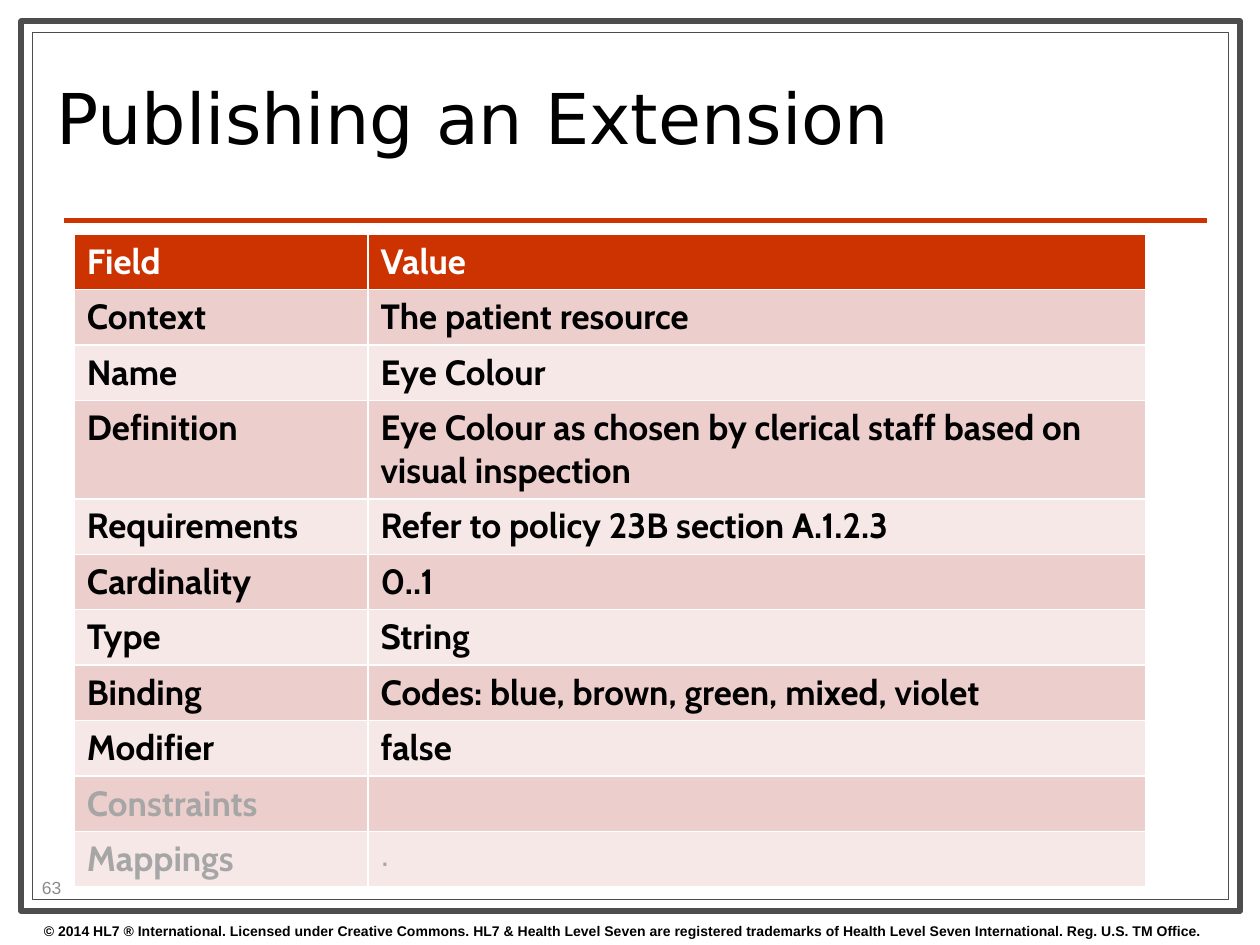
import pptx
import pptx.util
import pptx.dml.color
import pptx.enum.shapes
import pptx.enum.text
import pptx.oxml.xmlchemy

Inches, Pt = pptx.util.Inches, pptx.util.Pt
SHAPE = pptx.enum.shapes.MSO_SHAPE
ALIGN = pptx.enum.text.PP_ALIGN
ANCHOR = pptx.enum.text.MSO_ANCHOR
new_element = pptx.oxml.xmlchemy.OxmlElement

COLORS = {
    "white": "FFFFFF", "black": "000000", "frame": "4D4D4D", "accent": "CC3300",
    "band_dark": "ECCECC", "band_light": "F6E8E7", "muted": "A6A6A6", "number": "8C8C8C",
}
TITLE = {"name": "DejaVu Sans", "size": Pt(40), "bold": False}
CELL = {"name": "Cabin", "size": Pt(20), "bold": True}
DOT = {"name": "Arial", "size": Pt(18), "bold": False}
LEGAL = {"name": "Arial", "size": Pt(8), "bold": True}
NUMBER = {"name": "Arial", "size": Pt(10), "bold": False}

ROWS = [
    ("Field", "Value"),
    ("Context", "The patient resource"),
    ("Name", "Eye Colour"),
    ("Definition", "Eye Colour as chosen by clerical staff based on visual inspection"),
    ("Requirements", "Refer to policy 23B section A.1.2.3"),
    ("Cardinality", "0..1"),
    ("Type", "String"),
    ("Binding", "Codes: blue, brown, green, mixed, violet"),
    ("Modifier", "false"),
    ("Constraints", ""),
    ("Mappings", "."),
]
MUTED_FIELDS = ("Constraints", "Mappings")


def rgb(key):
    return pptx.dml.color.RGBColor.from_string(COLORS[key])


def write(tf, text, font, color):
    p = tf.paragraphs[0]
    r = p.add_run()
    r.text = text
    for name, value in font.items():
        setattr(r.font, name, value)
    r.font.color.rgb = rgb(color)
    return p


def add_frame(s, x, y, w, h):
    """Double border: a heavy outer rectangle and a fine inner one."""
    for inset, weight in ((0, 3.5), (0.09, 0.75)):
        sp = s.shapes.add_shape(SHAPE.RECTANGLE, Inches(x + inset), Inches(y + inset),
                                Inches(w - 2 * inset), Inches(h - 2 * inset))
        sp.shadow.inherit = False
        sp.fill.solid()
        sp.fill.fore_color.rgb = rgb("white")
        sp.line.color.rgb = rgb("frame")
        sp.line.width = Pt(weight)


def add_rule(s, x, y, w):
    line = s.shapes.add_connector(pptx.enum.shapes.MSO_CONNECTOR.STRAIGHT,
                                  Inches(x), Inches(y), Inches(x + w), Inches(y))
    line.line.color.rgb = rgb("accent")
    line.line.width = Pt(3)
    line._element.spPr.append(new_element("a:effectLst"))


def add_title(s, x, y, w, h, text):
    sp = s.shapes.title
    sp.left, sp.top, sp.width, sp.height = map(Inches, (x, y, w, h))
    tf = sp.text_frame
    tf.vertical_anchor = ANCHOR.MIDDLE
    tf.auto_size = pptx.enum.text.MSO_AUTO_SIZE.NONE
    p = write(tf, text, TITLE, "black")
    p.alignment = ALIGN.LEFT
    p.line_spacing = 0.8


def add_legal_line(s, x, y, w, h, text):
    tf = s.shapes.add_textbox(Inches(x), Inches(y), Inches(w), Inches(h)).text_frame
    tf.word_wrap = True
    write(tf, text, LEGAL, "black")


def add_page_number(s, x, y, size, number):
    sp = s.shapes.add_shape(SHAPE.OVAL, Inches(x), Inches(y), Inches(size), Inches(size))
    sp.shadow.inherit = False
    sp.fill.background()
    sp.line.fill.background()
    tf = sp.text_frame
    tf.word_wrap = False
    tf.vertical_anchor = ANCHOR.MIDDLE
    write(tf, number, NUMBER, "number").alignment = ALIGN.CENTER


def set_borders(cell):
    """White 1 pt lines on all sides, placed before the cell's fill."""
    tcPr = cell._tc.get_or_add_tcPr()
    for i, side in enumerate(("lnL", "lnR", "lnT", "lnB")):
        ln = new_element(f"a:{side}")
        ln.set("w", str(Pt(1)))
        fill = new_element("a:solidFill")
        color = new_element("a:srgbClr")
        color.set("val", COLORS["white"])
        fill.append(color)
        ln.append(fill)
        tcPr.insert(i, ln)


def add_field_table(s, x, y, widths, row_h, wrapped_h):
    """Field/value table; the definition row is two text lines high."""
    frame = s.shapes.add_table(len(ROWS), len(widths), Inches(x), Inches(y),
                               Inches(sum(widths)), Inches(row_h * len(ROWS)))
    table = frame.table
    for column, width in zip(table.columns, widths):
        column.width = Inches(width)
    for i, row in enumerate(ROWS):
        field = row[0]
        table.rows[i].height = Inches(wrapped_h if field == "Definition" else row_h)
        if i == 0:
            fill, color = "accent", "white"
        else:
            fill = "band_dark" if i % 2 else "band_light"
            color = "muted" if field in MUTED_FIELDS else "black"
        for j, text in enumerate(row):
            cell = table.cell(i, j)
            cell.fill.solid()
            cell.fill.fore_color.rgb = rgb(fill)
            set_borders(cell)
            if text:
                write(cell.text_frame, text, DOT if text == "." else CELL, color)


def main():
    prs = pptx.Presentation()
    prs.slide_width, prs.slide_height = Inches(10), Inches(7.5)
    s = prs.slides.add_slide(prs.slide_layouts.get_by_name("Title Only"))
    add_frame(s, 0.17, 0.17, 9.67, 7.06)
    add_rule(s, 0.51, 1.75, 9.07)
    add_legal_line(s, 0.25, 7.27, 10, 0.23,
                   "© 2014 HL7 ® International. Licensed under Creative Commons. "
                   "HL7 & Health Level Seven are registered trademarks of "
                   "Health Level Seven International. Reg. U.S. TM Office.")
    add_title(s, 0.35, 0.36, 7.17, 1.26, "Publishing an Extension")
    # The title placeholder is created first; keep it above the frame.
    tree = s.shapes.title._element.getparent()
    tree.append(s.shapes.title._element)
    add_field_table(s, 0.59, 1.86, (2.33, 6.17), 0.44, 0.78)
    add_page_number(s, 0.16, 6.79, 0.5, "63")
    prs.save("out.pptx")


if __name__ == "__main__":
    main()
